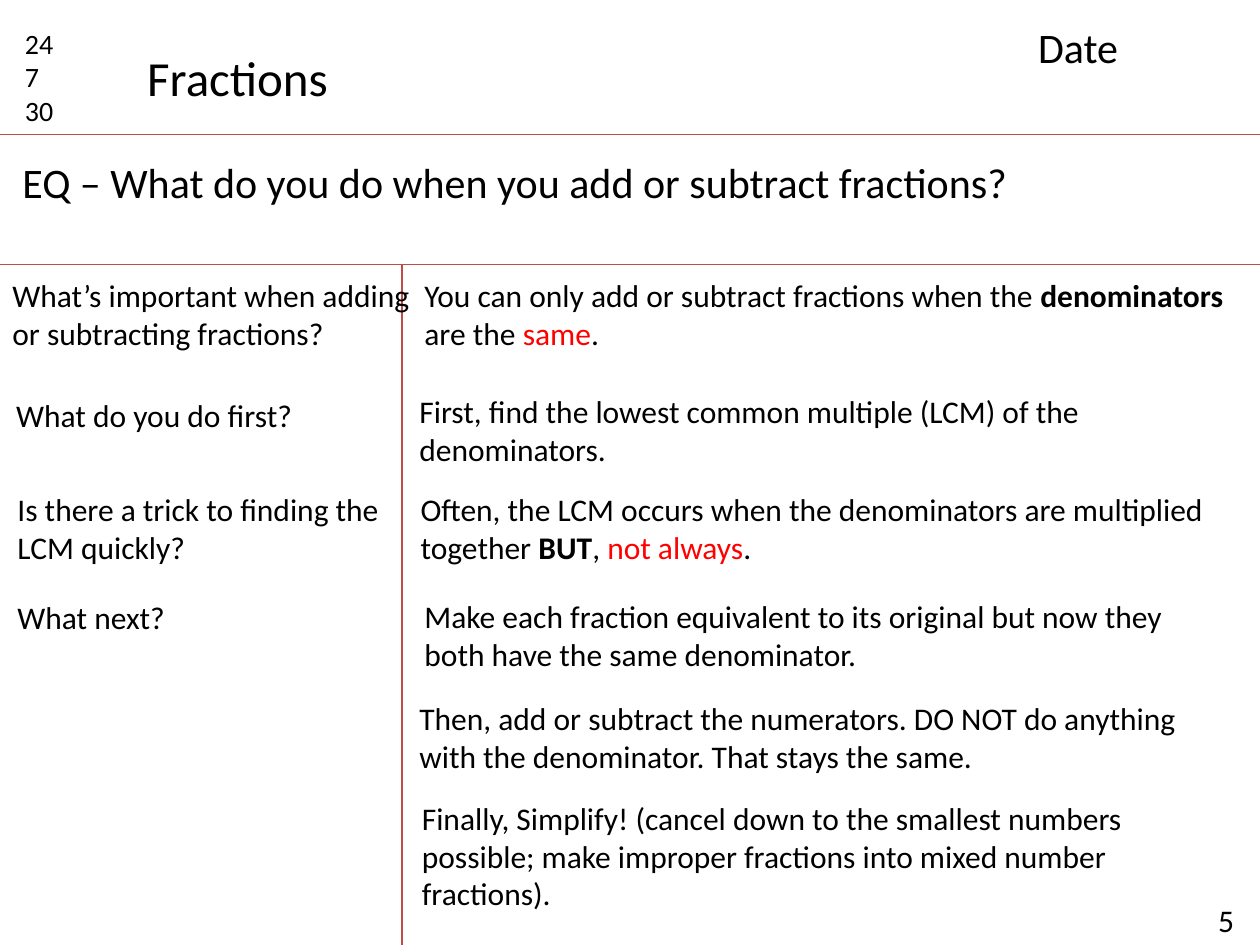
from dataclasses import dataclass

from lxml import etree
from pptx import Presentation
from pptx.dml.color import RGBColor
from pptx.enum.shapes import MSO_CONNECTOR
from pptx.oxml.ns import qn
from pptx.util import Inches, Pt

STRAIGHT = MSO_CONNECTOR.STRAIGHT
BLANK_LAYOUT = 6


@dataclass(frozen=True)
class Theme:
    font: str = "Calibri"
    ink: RGBColor = RGBColor(0x00, 0x00, 0x00)
    accent: RGBColor = RGBColor(0xFF, 0x00, 0x00)
    rule: RGBColor = RGBColor(0xBF, 0x4C, 0x48)
    rule_width: float = 0.75
    title: int = 28
    heading: int = 24
    body: int = 18
    small: int = 16


THEME = Theme()
PAGE_WIDTH, PAGE_HEIGHT = 10, 7.5
HEADER_BOTTOM, QUESTION_BOTTOM, DIVIDER_X = 1.07, 2.1, 3.19

# Each note is (left, top, width, height, content), offset from its column.
CUES = [
    (0, 0.04, 3.5, 0.71, "What’s important when adding or subtracting fractions?"),
    (0.03, 0.99, 2.95, 0.4, "What do you do first?"),
    (0.04, 1.74, 3.11, 0.71, "Is there a trick to finding the LCM quickly?"),
    (0.04, 2.6, 3.04, 0.4, "What next?"),
]
NOTES = [
    (0.08, 0.04, 6.6, 0.71, [
        "You can only add or subtract fractions when the ",
        ("denominators", "bold"), " are the ", ("same", "accent"), "."]),
    (0.04, 0.96, 6.52, 0.71,
     "First, find the lowest common multiple (LCM) of the denominators."),
    (0.05, 1.74, 6.52, 0.71, [
        "Often, the LCM occurs when the denominators are multiplied together ",
        ("BUT", "bold"), ", ", ("not always", "accent"), "."]),
    (0.08, 2.59, 6.41, 0.71,
     "Make each fraction equivalent to its original but now they both have "
     "the same denominator."),
    (0.04, 3.4, 6.41, 0.71,
     "Then, add or subtract the numerators. DO NOT do anything with the "
     "denominator. That stays the same."),
    (0.06, 4.19, 6.33, 1.01,
     "Finally, Simplify! (cancel down to the smallest numbers possible; make "
     "improper fractions into mixed number fractions)."),
]


def add_text(page, left, top, width, height, *lines, size=THEME.body, wrap=True):
    """Add a text box; a line is a string or a list of strings and (text, style)."""
    box = page.shapes.add_textbox(Inches(left), Inches(top), Inches(width), Inches(height))
    frame = box.text_frame
    frame.word_wrap = wrap
    for index, line in enumerate(lines):
        para = frame.add_paragraph() if index else frame.paragraphs[0]
        for part in [line] if isinstance(line, str) else line:
            text, style = (part, "plain") if isinstance(part, str) else part
            span = para.add_run()
            span.text = text
            span.font.name = THEME.font
            span.font.size = Pt(size)
            span.font.bold = style == "bold"
            span.font.color.rgb = THEME.accent if style == "accent" else THEME.ink


def add_rule(page, x1, y1, x2, y2):
    rule = page.shapes.add_connector(STRAIGHT, Inches(x1), Inches(y1), Inches(x2), Inches(y2))
    rule.line.color.rgb = THEME.rule
    rule.line.width = Pt(THEME.rule_width)
    etree.SubElement(rule._element.spPr, qn("a:effectLst"))


def add_header(page, left, top, width, height):
    add_text(page, left + 0.1, top + 0.16, 0.63, 0.91, "24", "7", "30", size=THEME.small)
    add_text(page, left + 1.07, top + 0.33, 1.65, 0.57, "Fractions",
             size=THEME.title, wrap=False)
    add_text(page, left + 8.14, top + 0.12, 1.73, 0.5, "Date", size=THEME.heading)
    add_rule(page, left, top + height, left + width, top + height)


def add_question(page, left, top, width, height):
    add_text(page, left + 0.08, top + 0.12, 8.9, 0.5,
             "EQ – What do you do when you add or subtract fractions?", size=THEME.heading)
    add_rule(page, left, top + height, left + width, top + height)


def add_column(page, left, top, entries):
    for dx, dy, width, height, content in entries:
        add_text(page, left + dx, top + dy, width, height, content)


def add_notes(page, left, top, width, height):
    """Place cues left of the divider, answers right of it, and the page number."""
    divider = left + DIVIDER_X
    add_rule(page, divider, top, divider, top + height)
    add_column(page, left, top, CUES)
    add_column(page, divider, top, NOTES)
    add_text(page, left + width - 0.43, top + height - 0.4, 0.43, 0.4, "5")


def main():
    deck = Presentation()
    deck.slide_width, deck.slide_height = Inches(PAGE_WIDTH), Inches(PAGE_HEIGHT)
    page = deck.slides.add_slide(deck.slide_layouts[BLANK_LAYOUT])
    add_header(page, 0, 0, PAGE_WIDTH, HEADER_BOTTOM)
    add_question(page, 0, HEADER_BOTTOM, PAGE_WIDTH, QUESTION_BOTTOM - HEADER_BOTTOM)
    add_notes(page, 0, QUESTION_BOTTOM, PAGE_WIDTH, PAGE_HEIGHT - QUESTION_BOTTOM)
    deck.save("out.pptx")


if __name__ == "__main__":
    main()
